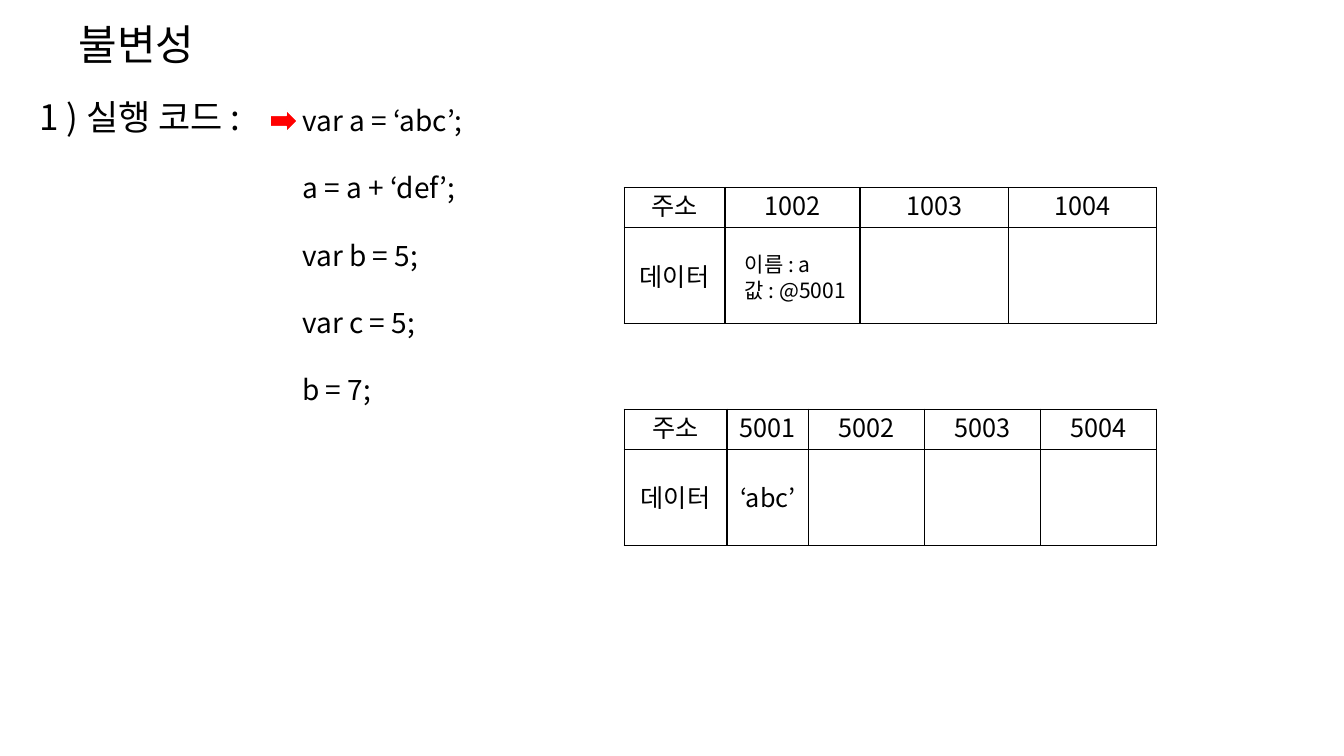
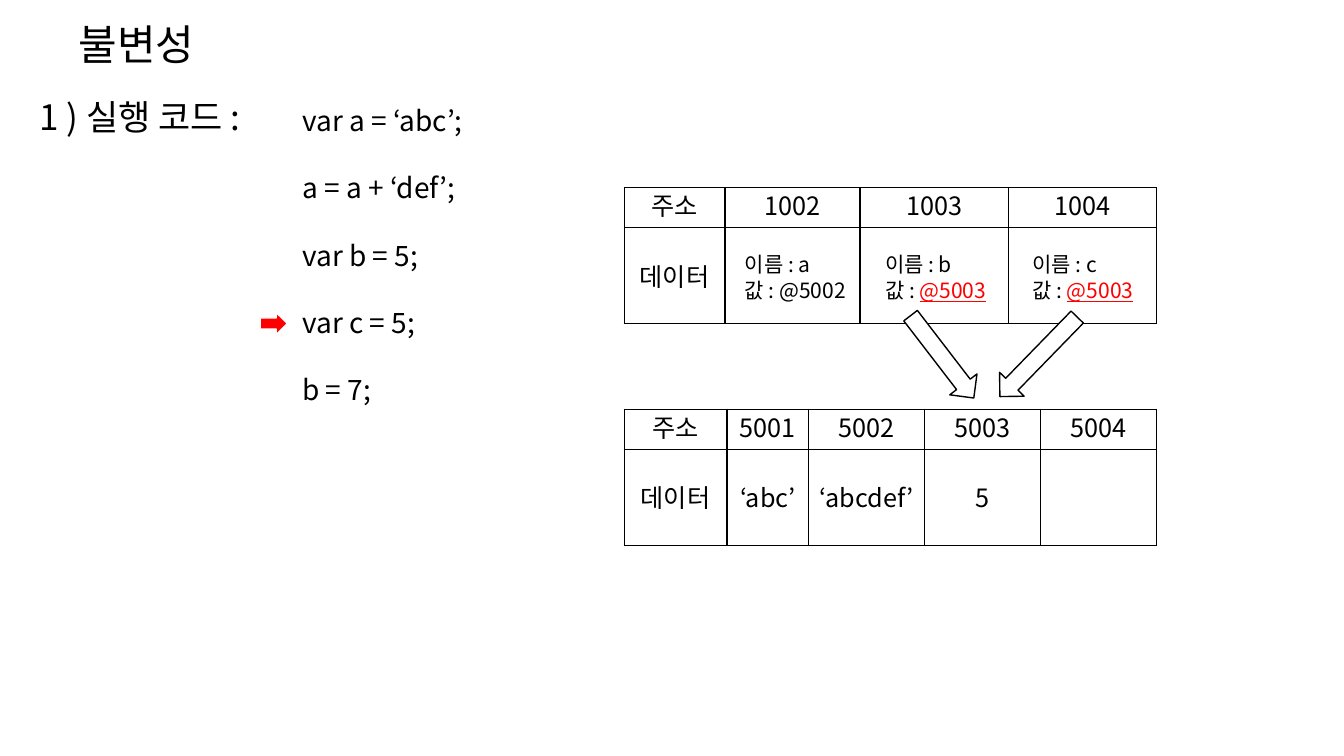
from typing import NamedTuple

from lxml import etree
from pptx import Presentation
from pptx.dml.color import RGBColor
from pptx.enum.shapes import MSO_SHAPE
from pptx.enum.text import MSO_ANCHOR, MSO_AUTO_SIZE, PP_ALIGN
from pptx.oxml.ns import qn
from pptx.util import Inches, Pt

BLACK = RGBColor(0, 0, 0)
WHITE = RGBColor(255, 255, 255)
RED = RGBColor(255, 0, 0)
FONT = "Noto Sans CJK KR"
LINE_HEIGHT = 1.2
LEFT, CENTER = PP_ALIGN.LEFT, PP_ALIGN.CENTER
TOP = MSO_ANCHOR.TOP
FIXED_SIZE = MSO_AUTO_SIZE.NONE
RIGHT_ARROW = MSO_SHAPE.RIGHT_ARROW
TITLE_ONLY = 5

CODE_LINES = ["var\u00a0a = ‘abc’;", "a = a + ‘def’;", "var b = 5;", "var c = 5;", "b = 7;"]
CODE_PITCH = 0.67
ROW_HEIGHTS = [0.4, 0.95]
DATA_INDENT = 0.35


class Box(NamedTuple):
    left: float
    top: float
    width: float
    height: float

    def lengths(self):
        return [Inches(value) for value in self]


TITLE_BOX = Box(0.68, 0.13, 5.74, 0.61)
HEADING_BOX = Box(0.29, 0.9, 2.43, 0.52)
CODE_BOX = Box(2.9, 0.98, 3.43, 3.8)
NAME_BOX = Box(6.19, 1.86, 5.29, 1.35)
VALUE_BOX = Box(6.19, 4.06, 5.29, 1.35)
NAME_COLUMNS = [1, 1.34, 1.47, 1.47]
VALUE_COLUMNS = [1.02, 0.81, 1.15, 1.15, 1.15]


def style_paragraph(para, size, align=LEFT):
    para.alignment = align
    para.line_spacing = Pt(size * LINE_HEIGHT)
    font = para.font
    font.size = Pt(size)
    font.name = FONT
    font.color.rgb = BLACK
    properties = para._p.pPr.find(qn("a:defRPr"))
    etree.SubElement(properties, qn("a:ea"), typeface=FONT)


def fill_frame(frame, lines, size, gap=0):
    frame.word_wrap = True
    frame.auto_size = FIXED_SIZE
    frame.vertical_anchor = TOP
    for index, line in enumerate(lines):
        para = frame.add_paragraph() if index else frame.paragraphs[0]
        para.text = line
        style_paragraph(para, size)
        para.space_after = Pt(gap)


def add_text(page, box, lines, size, gap=0):
    frame = page.shapes.add_textbox(*box.lengths()).text_frame
    fill_frame(frame, lines, size, gap)
    return frame


def add_title(page, box, text):
    title = page.shapes.title
    title.left, title.top, title.width, title.height = box.lengths()
    fill_frame(title.text_frame, [text], 30)


def add_arrow(page, box, fill, outline, rotation=0):
    arrow = page.shapes.add_shape(RIGHT_ARROW, *box.lengths())
    arrow.rotation = rotation
    arrow.shadow.inherit = False
    arrow.fill.solid()
    arrow.fill.fore_color.rgb = fill
    arrow.line.color.rgb = outline
    arrow.line.width = Pt(1)


def add_borders(cell):
    properties = cell._tc.get_or_add_tcPr()
    for index, side in enumerate(("lnL", "lnR", "lnT", "lnB")):
        border = etree.Element(qn("a:" + side), w=str(Pt(1)))
        fill = etree.SubElement(border, qn("a:solidFill"))
        etree.SubElement(fill, qn("a:srgbClr"), val=str(BLACK))
        properties.insert(index, border)


def add_memory_table(page, box, widths, addresses, values):
    blanks = [""] * (len(addresses) - len(values))
    rows = [["주소", *addresses], ["데이터", *values, *blanks]]
    table = page.shapes.add_table(len(rows), len(widths), *box.lengths()).table
    table.first_row = False
    table.horz_banding = False
    for column, width in zip(table.columns, widths):
        column.width = Inches(width)
    for row_index, (row, height) in enumerate(zip(table.rows, ROW_HEIGHTS)):
        row.height = Inches(height)
        for cell, text in zip(row.cells, rows[row_index]):
            cell.fill.solid()
            cell.fill.fore_color.rgb = WHITE
            cell.margin_top = Inches(0.05 + (DATA_INDENT - 0.05 if row_index else 0))
            cell.text = text
            style_paragraph(cell.text_frame.paragraphs[0], 18, CENTER)
            add_borders(cell)


def add_variable(page, left, name, address, shared=False):
    box = Box(left, 2.45, 1.89, 0.61)
    frame = add_text(page, box, [f"이름 : {name}", "값 : "], 15)
    span = frame.paragraphs[1].add_run()
    span.text = address
    if shared:
        span.font.color.rgb = RED
        span.font.underline = True


def add_memory_page(deck, step, marker_left, variables, values):
    page = deck.slides.add_slide(deck.slide_layouts[TITLE_ONLY])
    add_title(page, TITLE_BOX, "불변성")
    add_text(page, HEADING_BOX, ["1 ) 실행 코드 : "], 25)
    add_text(page, CODE_BOX, CODE_LINES, 20, gap=24)
    marker_top = CODE_BOX.top + 0.11 + step * CODE_PITCH
    add_arrow(page, Box(marker_left, marker_top, 0.27, 0.22), RED, WHITE)
    add_memory_table(page, NAME_BOX, NAME_COLUMNS, ["1002", "1003", "1004"], [])
    add_memory_table(page, VALUE_BOX, VALUE_COLUMNS, ["5001", "5002", "5003", "5004"], values)
    for variable in variables:
        add_variable(page, *variable)
    return page


deck = Presentation()
deck.slide_width = Inches(13.33)
deck.slide_height = Inches(7.5)

add_memory_page(deck, 0, 2.68, [(7.29, "a", "@5001")], ["‘abc’"])

shared_page = add_memory_page(
    deck, 3, 2.58,
    [(7.29, "a", "@5002"), (8.68, "b", "@5003", True), (10.14, "c", "@5003", True)],
    ["‘abc’", "‘abcdef’", "5"],
)
add_arrow(shared_page, Box(8.83, 3.37, 1.03, 0.34), WHITE, BLACK, 52.5)
add_arrow(shared_page, Box(9.75, 3.37, 1.1, 0.34), WHITE, BLACK, 134.2)

deck.save("out.pptx")
